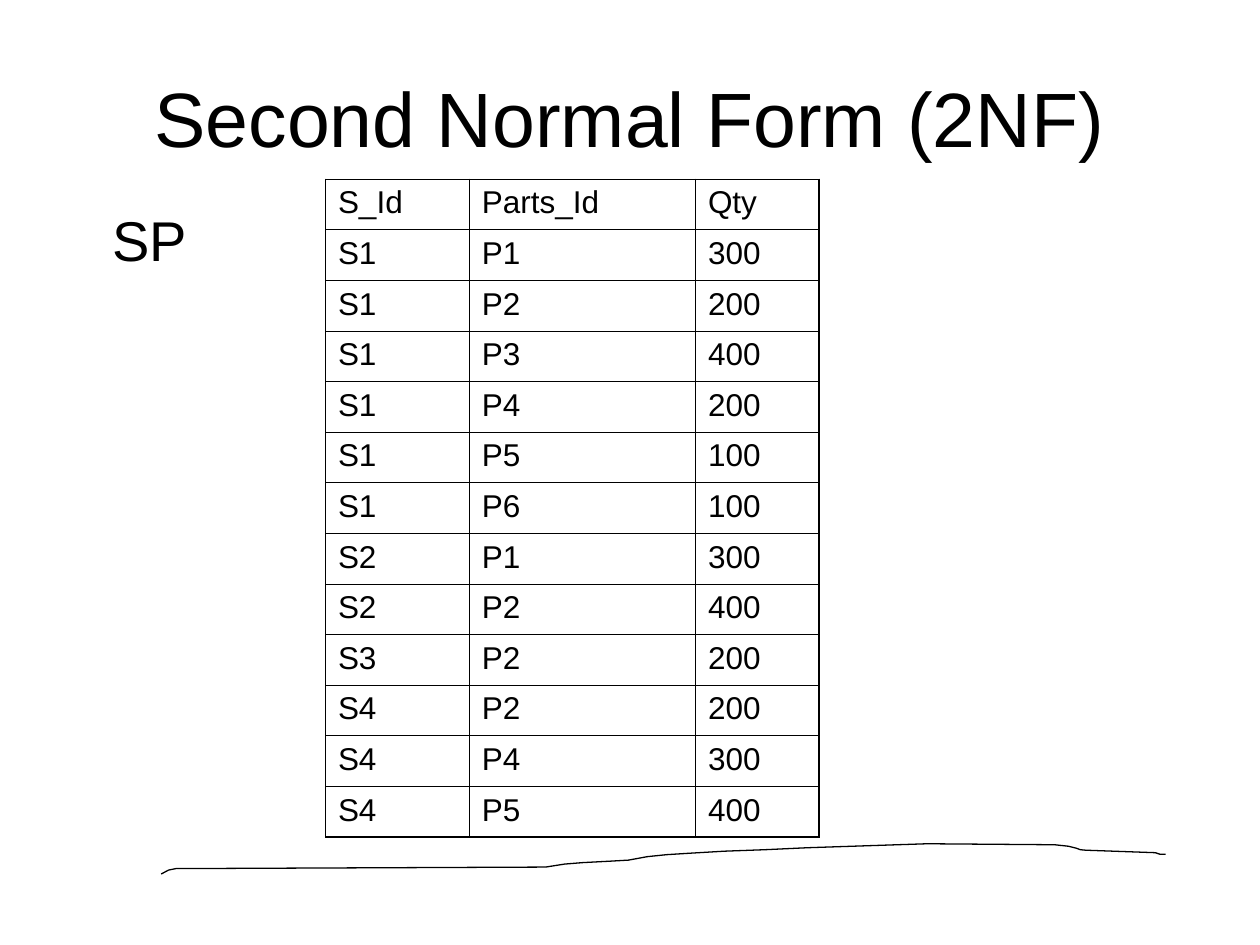
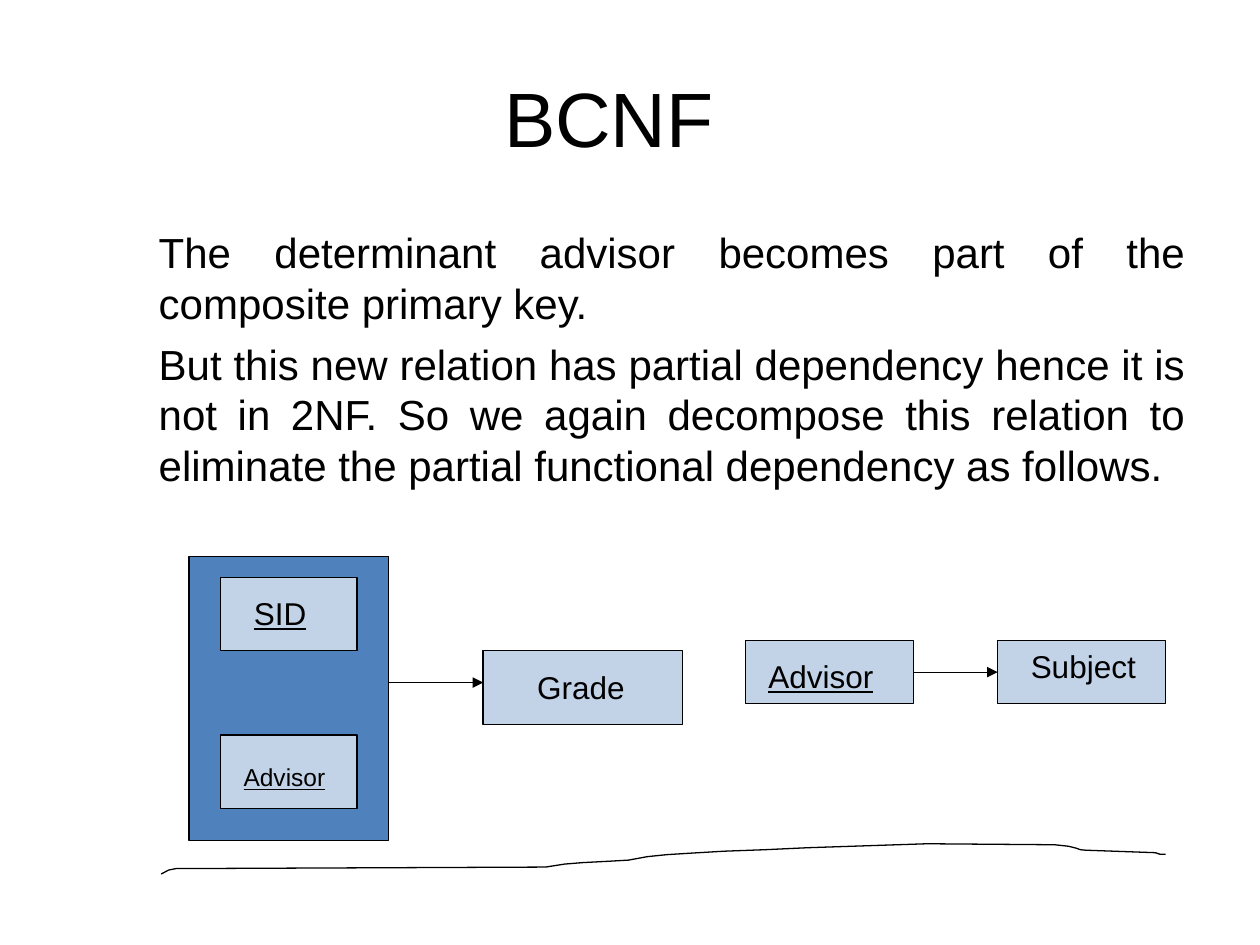
from pptx import Presentation
from pptx.dml.color import RGBColor
from pptx.enum.shapes import MSO_CONNECTOR, MSO_SHAPE
from pptx.enum.text import MSO_ANCHOR, PP_ALIGN
from pptx.oxml.ns import qn
from pptx.util import Cm, Pt
from lxml.etree import SubElement, Element

# Shared look
FONT = "Arial"
BLACK, KEY_BLUE, FIELD_BLUE = "000000", "4F81BD", "C2D3E8"
THIN, THICK, OUTLINE = 0.45, 1.08, 0.75

# Hand-drawn line at the foot of every slide, in cm
FOOT_LINE = [
    (3.25, 17.62), (3.4, 17.54), (3.55, 17.51), (3.78, 17.51), (11, 17.48),
    (11.38, 17.42), (11.75, 17.39), (12.32, 17.36), (12.67, 17.34), (13.05, 17.27),
    (13.44, 17.23), (13.92, 17.2), (14.6, 17.16), (15.42, 17.13), (16.28, 17.09),
    (18.69, 17.01), (21.26, 17.03), (21.54, 17.06), (21.7, 17.1), (21.78, 17.13),
    (21.89, 17.14), (23.29, 17.19), (23.38, 17.22), (23.5, 17.22),
]

PARTS = [
    ("S_Id", "Parts_Id", "Qty"),
    ("S1", "P1", "300"), ("S1", "P2", "200"), ("S1", "P3", "400"),
    ("S1", "P4", "200"), ("S1", "P5", "100"), ("S1", "P6", "100"),
    ("S2", "P1", "300"), ("S2", "P2", "400"), ("S3", "P2", "200"),
    ("S4", "P2", "200"), ("S4", "P4", "300"), ("S4", "P5", "400"),
]


def color(value):
    return RGBColor.from_string(value)


def lengths(*values):
    return [Cm(value) for value in values]


def set_all(target, values):
    for name, value in values.items():
        setattr(target, name, value)


def write(para, text, size, underline=None):
    span = para.add_run()
    span.text = text
    set_all(span.font, {"name": FONT, "size": Pt(size), "underline": underline})
    span.font.color.rgb = color(BLACK)


def add_text(page, place, texts, size, frame_format=None, align=None,
             gap=0, underline=None):
    frame = page.shapes.add_textbox(*lengths(*place)).text_frame
    set_all(frame, {"word_wrap": True, **(frame_format or {})})
    for index, text in enumerate(texts):
        para = frame.add_paragraph() if index else frame.paragraphs[0]
        para.alignment = align
        if index:
            para.space_before = Pt(gap)
        write(para, text, size, underline)


def add_page(deck, title, right_inset=0.25):
    page = deck.slides.add_slide(deck.slide_layouts[6])
    # Foot line
    start, *rest = [lengths(*point) for point in FOOT_LINE]
    builder = page.shapes.build_freeform(*start, scale=1.0)
    builder.add_line_segments(rest, close=False)
    foot = builder.convert_to_shape()
    foot.shadow.inherit = False
    foot.fill.background()
    set_outline(foot)
    # Title
    add_text(page, (1.27, 0.76, 22.86, 3.18), [title], 44,
             {"vertical_anchor": MSO_ANCHOR.MIDDLE,
              "margin_right": Cm(right_inset)}, PP_ALIGN.CENTER)
    return page


def set_outline(shape):
    shape.line.color.rgb = color(BLACK)
    shape.line.width = Pt(OUTLINE)


def add_box(page, place, fill):
    box = page.shapes.add_shape(MSO_SHAPE.RECTANGLE, *lengths(*place))
    box.shadow.inherit = False
    box.fill.solid()
    box.fill.fore_color.rgb = color(fill)
    set_outline(box)


def add_field(page, place, label, label_place, size=18, underline=None):
    add_box(page, place, FIELD_BLUE)
    add_text(page, label_place, [label], size, underline=underline)


def add_arrow(page, left, right, top):
    arrow = page.shapes.add_connector(MSO_CONNECTOR.STRAIGHT,
                                      *lengths(left, top, right, top))
    set_outline(arrow)
    SubElement(arrow.line._get_or_add_ln(), qn("a:tailEnd"), type="triangle")
    SubElement(arrow._element.spPr, qn("a:effectLst"))


def set_borders(cell, widths):
    properties = cell._tc.get_or_add_tcPr()
    for index, (side, width) in enumerate(widths.items()):
        line = Element(qn("a:ln" + side), w=str(Pt(width)))
        fill = SubElement(line, qn("a:solidFill"))
        SubElement(fill, qn("a:srgbClr"), val=BLACK)
        properties.insert(index, line)


def add_grid(page, left, top, column_widths, row_height, rows):
    last_row, last_column = len(rows) - 1, len(column_widths) - 1
    table = page.shapes.add_table(
        len(rows), len(column_widths),
        *lengths(left, top, sum(column_widths), row_height * len(rows))).table
    set_all(table, {"first_row": False, "horz_banding": False})
    for column, width in zip(table.columns, column_widths):
        column.width = Cm(width)
    for r, values in enumerate(rows):
        table.rows[r].height = Cm(row_height)
        for c, value in enumerate(values):
            cell = table.cell(r, c)
            cell.fill.background()
            write(cell.text_frame.paragraphs[0], value, 18)
            # Only the right and bottom edges are heavy
            set_borders(cell, {"L": THIN,
                               "R": THICK if c == last_column else THIN,
                               "T": THIN,
                               "B": THICK if r == last_row else THIN})


def build_second_normal_form(deck):
    page = add_page(deck, "Second Normal Form (2NF)")
    add_text(page, (1.07, 4.01, 22.86, 13.77), ["SP"], 32,
             {"margin_left": Cm(1.2)})
    add_grid(page, 6.56, 3.61, (2.9, 4.56, 2.49), 1.02, PARTS)


def build_bcnf(deck):
    page = add_page(deck, "BCNF", right_inset=1.1)
    add_text(page, (1.27, 4.45, 22.86, 13.77), [
        "The determinant advisor becomes part of the composite primary key.",
        "But this new relation has partial dependency hence it is not in 2NF. "
        "So we again decompose this relation to eliminate the partial "
        "functional dependency as follows.",
    ], 24, {"margin_left": Cm(1.93), "margin_right": Cm(0.24)},
        PP_ALIGN.JUSTIFY, gap=6)

    # Composite key determines the grade
    add_box(page, (3.81, 11.22, 4.02, 5.72), KEY_BLUE)
    add_field(page, (4.45, 11.64, 2.75, 1.48), "SID",
              (4.87, 11.85, 2.33, 1.02), underline=True)
    add_field(page, (4.45, 14.82, 2.75, 1.48), "Advisor",
              (4.66, 15.24, 2.33, 0.86), size=14, underline=True)
    add_field(page, (9.74, 13.12, 4.02, 1.48), "Grade",
              (10.58, 13.34, 3.18, 1.02))
    add_arrow(page, 7.83, 9.74, 13.76)

    # Advisor determines the subject
    add_field(page, (15.03, 12.91, 3.39, 1.27), "Advisor",
              (15.24, 13.12, 2.96, 1.02), underline=True)
    add_field(page, (20.11, 12.91, 3.39, 1.27), "Subject",
              (20.53, 12.91, 2.96, 1.02))
    add_arrow(page, 18.42, 20.11, 13.55)


def main():
    deck = Presentation()
    set_all(deck, {"slide_width": Cm(25.4), "slide_height": Cm(19.05)})
    build_second_normal_form(deck)
    build_bcnf(deck)
    deck.save("out.pptx")


if __name__ == "__main__":
    main()
